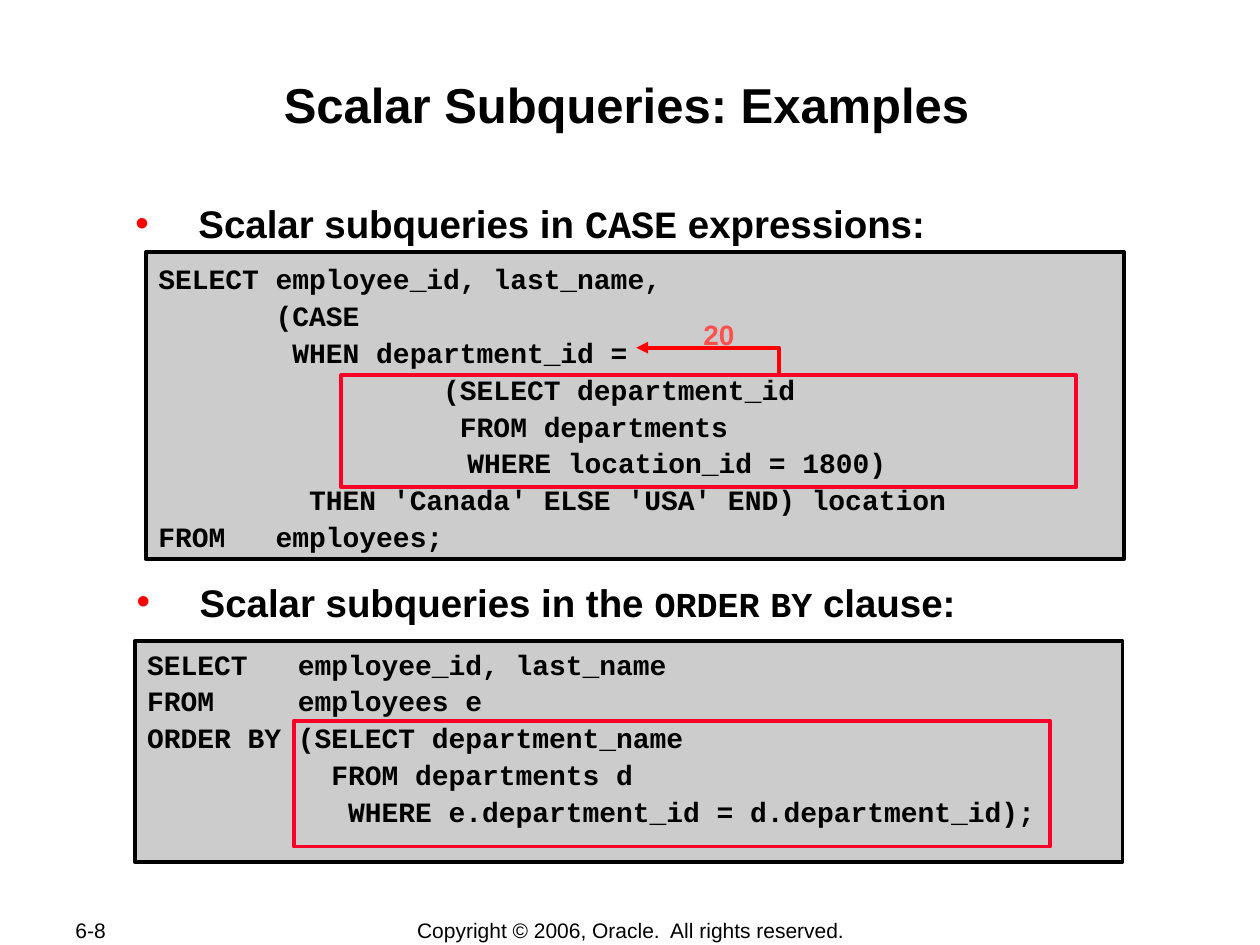
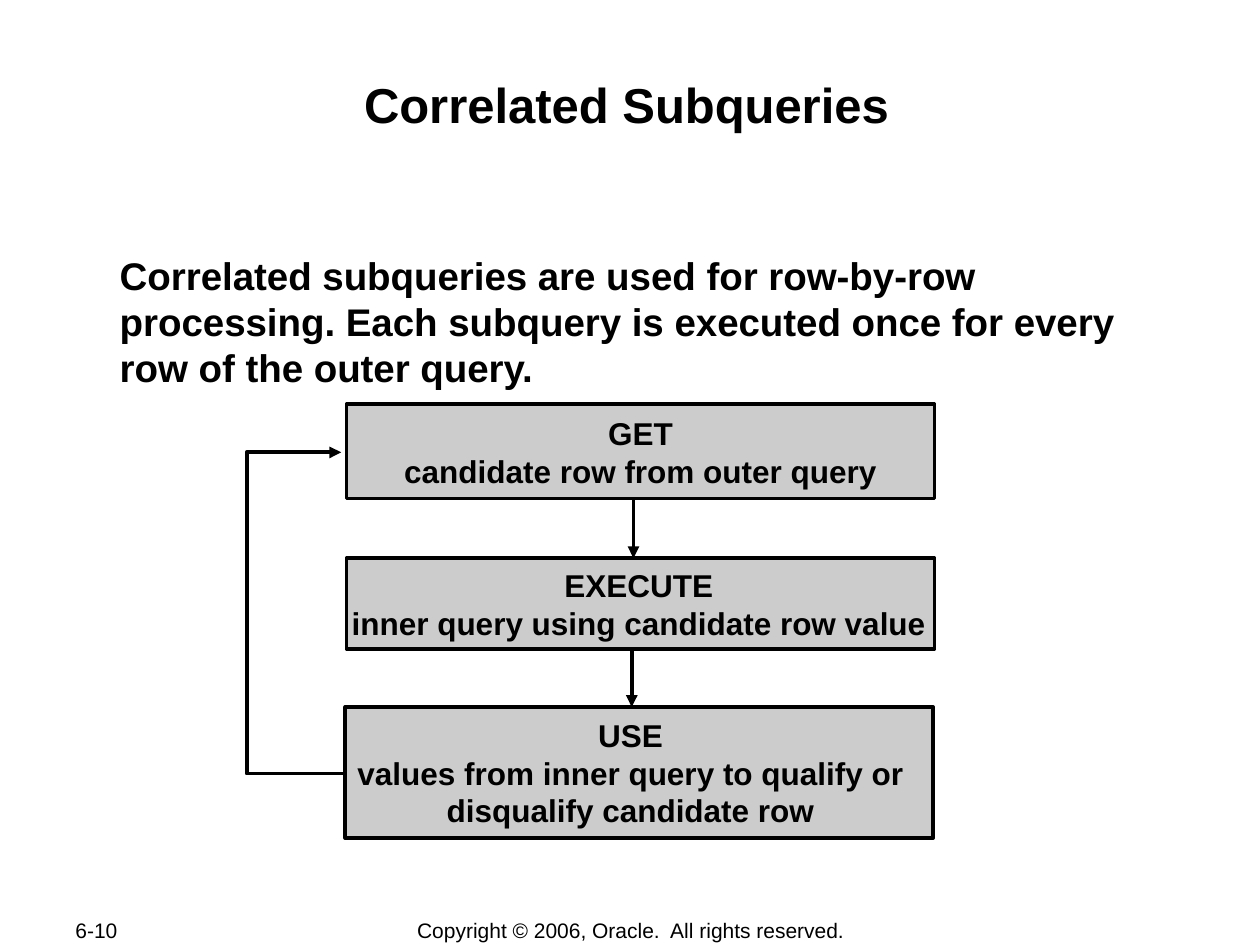
from dataclasses import dataclass
from lxml.etree import SubElement
from pptx import Presentation
from pptx.dml.color import RGBColor
from pptx.enum.shapes import MSO_CONNECTOR, MSO_SHAPE
from pptx.enum.text import MSO_ANCHOR, MSO_AUTO_SIZE, PP_ALIGN
from pptx.oxml.ns import qn
from pptx.util import Pt


@dataclass(frozen=True)
class Theme:
    ink: RGBColor = RGBColor(0, 0, 0)
    panel: RGBColor = RGBColor(0xCC, 0xCC, 0xCC)
    red: RGBColor = RGBColor(0xFF, 0, 0)
    mark: RGBColor = RGBColor(0xFC, 0x01, 0x28)
    value: RGBColor = RGBColor(0xFF, 0x50, 0x50)
    sans: str = "Arial"
    mono: str = "Courier New"
    serif: str = "Times New Roman"
    title: int = 28
    body: int = 22
    step: int = 18
    code: int = 16
    foot: int = 12
    rule: float = 2.25


T = Theme()
PAD = (7.2, 3.6, 7.2, 3.6)
TIGHT = (0.72,) * 4
OWNER = "Copyright © 2006, Oracle.  All rights reserved."

CASE_CODE = """SELECT employee_id, last_name,
       (CASE
        WHEN department_id =
                 (SELECT department_id
                  FROM departments
     WHERE location_id = 1800)
         THEN 'Canada' ELSE 'USA' END) location
FROM   employees;"""

ORDER_CODE = """SELECT   employee_id, last_name
FROM     employees e
ORDER BY (SELECT department_name
           FROM departments d
            WHERE e.department_id = d.department_id);"""


def style(font, size, name=T.sans, color=T.ink, bold=True):
    font.size, font.name, font.bold = Pt(size), name, bold
    font.color.rgb = color


def frame(shape, pad=PAD, anchor=MSO_ANCHOR.TOP):
    """Set wrapping, insets (left, top, right, bottom) and anchor."""
    text = shape.text_frame
    text.word_wrap = True
    text.auto_size = MSO_AUTO_SIZE.NONE
    text.vertical_anchor = anchor
    (text.margin_left, text.margin_top,
     text.margin_right, text.margin_bottom) = map(Pt, pad)
    return text


def fill_text(text, lines, size, align=PP_ALIGN.LEFT, space=1, **look):
    """Write one paragraph a line, all in one style."""
    for i, line in enumerate(lines):
        para = text.paragraphs[0] if i == 0 else text.add_paragraph()
        para.text = line
        para.alignment, para.line_spacing = align, space
        style(para.font, size, **look)
    return text.paragraphs


def add_text(slide, at, lines, size, pad=PAD, anchor=MSO_ANCHOR.TOP, **look):
    box = slide.shapes.add_textbox(*map(Pt, at))
    return fill_text(frame(box, pad, anchor), lines, size, **look)


def add_box(slide, at, fill=None, color=T.ink, width=T.rule):
    box = slide.shapes.add_shape(MSO_SHAPE.RECTANGLE, *map(Pt, at))
    box.shadow.inherit = False
    if fill is None:
        box.fill.background()
    else:
        box.fill.solid()
        box.fill.fore_color.rgb = fill
    box.line.color.rgb, box.line.width = color, Pt(width)
    return box


def add_head(shape, color):
    """Style an open line and put an arrowhead at its end."""
    shape.line.color.rgb, shape.line.width = color, Pt(T.rule)
    SubElement(shape.line._get_or_add_ln(), qn("a:tailEnd"), type="triangle")


def add_bend(slide, points, color):
    """Draw an arrow that turns at each inner point."""
    first, *rest = [(Pt(x), Pt(y)) for x, y in points]
    pen = slide.shapes.build_freeform(*first, scale=1.0)
    pen.add_line_segments(rest, close=False)
    bend = pen.convert_to_shape()
    bend.shadow.inherit = False
    bend.fill.background()
    add_head(bend, color)


def add_arrow(slide, x, top, end):
    line = slide.shapes.add_connector(
        MSO_CONNECTOR.STRAIGHT, Pt(x), Pt(top), Pt(x), Pt(end))
    add_head(line, T.ink)
    SubElement(line._element.spPr, qn("a:effectLst"))


def add_point(slide, at, parts):
    """Add a bulleted line from (text, font, size, bold) parts."""
    box = slide.shapes.add_textbox(*map(Pt, at))
    para = frame(box, TIGHT).paragraphs[0]
    props = para._p.get_or_add_pPr()
    props.set("marL", str(Pt(45)))
    props.set("indent", str(Pt(-36)))
    tint = SubElement(props, qn("a:buClr"))
    SubElement(tint, qn("a:srgbClr"), val=str(T.red))
    SubElement(props, qn("a:buFont"), typeface=T.sans)
    SubElement(props, qn("a:buChar"), char="•")
    for words, name, size, bold in parts:
        run = para.add_run()
        run.text = words
        style(run.font, size, name, bold=bold)


def add_code(box, code):
    return fill_text(frame(box), code.split("\n"), T.code,
                     space=1.1, name=T.mono)


def add_slide(deck, title, page):
    slide = deck.slides.add_slide(deck.slide_layouts[5])
    head = slide.shapes.title
    head.left, head.top, head.width, head.height = map(Pt, (70, 42, 576, 69))
    fill_text(frame(head, TIGHT), [title], T.title, PP_ALIGN.CENTER)
    foot = dict(anchor=MSO_ANCHOR.MIDDLE, bold=False)
    add_text(slide, (36, 524, 76, 15), [page], T.foot, **foot)
    add_text(slide, (199, 524, 323, 15), [OWNER], T.foot,
             align=PP_ALIGN.CENTER, **foot)
    return slide


def build_scalar(deck):
    slide = add_slide(deck, "Scalar Subqueries: Examples", "6-8")
    plain = (T.sans, T.body, True)
    small = (T.mono, 20, True)
    add_point(slide, (67.7, 113.8, 580, 28), [
        ("Scalar subqueries in ", *plain),
        ("CASE", T.mono, T.body, True),
        (" expressions:", *plain)])
    add_point(slide, (68.4, 328.3, 580, 31), [
        ("Scalar subqueries in the ", *plain),
        ("ORDER", *small),
        (" ", T.serif, 24, False),
        ("BY", *small),
        (" clause:", *plain)])

    lines = add_code(add_box(slide, (83.5, 144, 558.7, 175.7), T.panel),
                     CASE_CODE)
    lines[5].alignment = PP_ALIGN.CENTER
    panel = add_box(slide, (77, 366.5, 564.5, 126), T.panel)
    add_code(panel, ORDER_CODE)
    panel.text_frame.margin_top = Pt(1.4)

    add_text(slide, (394.5, 174.2, 32.5, 30), ["20"], T.code,
             align=PP_ALIGN.CENTER, space=1.2, color=T.value)
    add_bend(slide, [(445, 214), (445, 198.7), (363.6, 198.7)], T.red)
    for at in ((195, 214.5, 420, 64), (168, 411.8, 432, 72)):
        add_box(slide, at, color=T.mark)


def build_related(deck):
    slide = add_slide(deck, "Correlated Subqueries", "6-10")
    add_text(slide, (67.7, 143.3, 580, 81), [
        "Correlated subqueries are used for row-by-row processing. "
        "Each subquery is executed once for every row of the outer query."],
        T.body, pad=TIGHT)
    add_bend(slide, [(201, 442), (141, 442), (141, 258.5), (195, 258.5)],
             T.ink)
    # left, top, height, right inset, lines
    steps = [
        (198, 231, 54, 0, ["GET", "candidate row from outer query"]),
        (198, 319, 52, 2, ["EXECUTE", "inner query using candidate row value"]),
        (197.3, 404, 75, 10, ["USE", "values from inner query to qualify or "
                              "disqualify candidate row"])]
    for left, top, tall, inset, lines in steps:
        box = add_box(slide, (left, top, 336, tall), T.panel, width=2)
        text = frame(box, (0, 0, inset, 0), MSO_ANCHOR.MIDDLE)
        fill_text(text, lines, T.step, PP_ALIGN.CENTER)
    for x, upper, lower in zip((362, 361), steps, steps[1:]):
        add_arrow(slide, x, upper[1] + upper[2], lower[1])


def main():
    deck = Presentation()
    deck.slide_width, deck.slide_height = Pt(720), Pt(540)
    build_scalar(deck)
    build_related(deck)
    deck.save("out.pptx")


if __name__ == "__main__":
    main()
